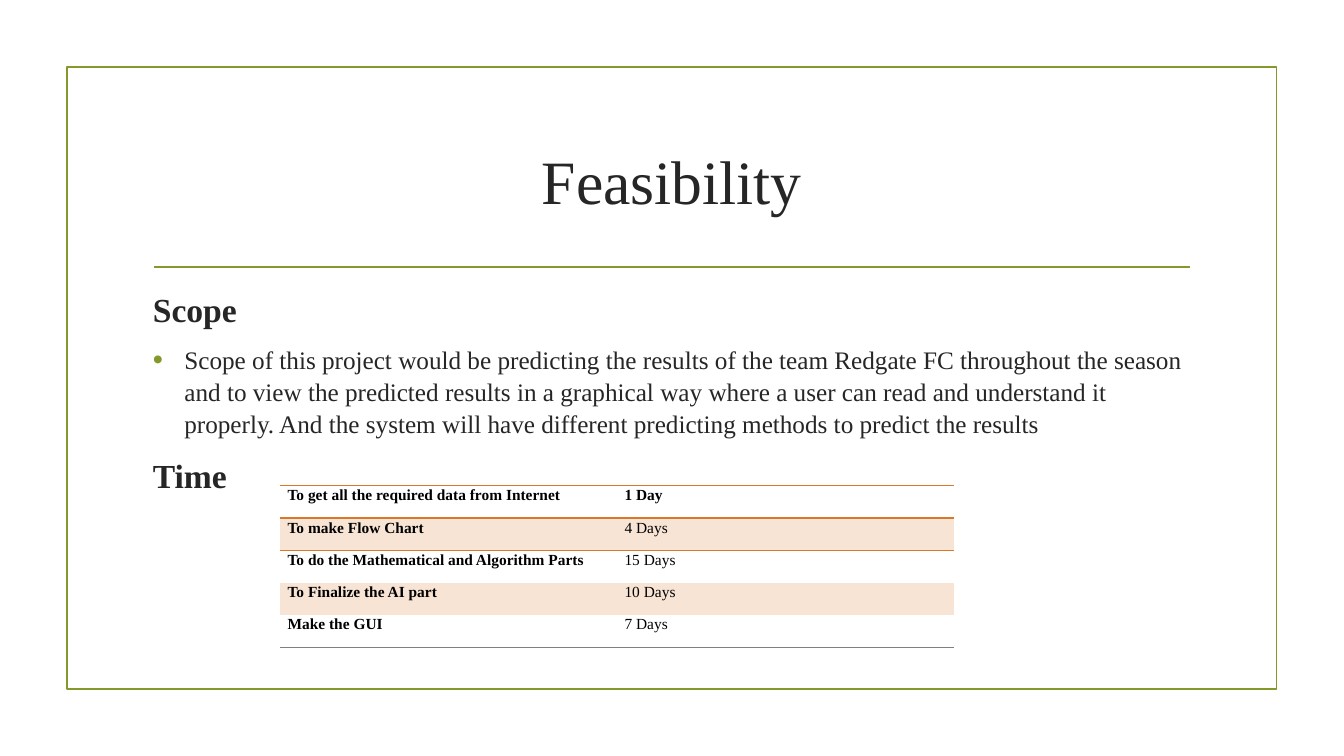
from lxml.etree import SubElement
from pptx import Presentation
from pptx.dml.color import RGBColor
from pptx.enum.shapes import MSO_CONNECTOR as Connector, MSO_SHAPE as Shape
from pptx.enum.text import MSO_ANCHOR as Anchor, MSO_AUTO_SIZE as AutoSize, PP_ALIGN as Align
from pptx.oxml.ns import qn
from pptx.util import Pt

GREEN = RGBColor(0x83, 0x99, 0x2A)
ORANGE = RGBColor(0xD9, 0x78, 0x28)
PEACH = RGBColor(0xF7, 0xE4, 0xD4)
GREY = RGBColor(0x80, 0x80, 0x80)
INK = RGBColor(0x26, 0x26, 0x26)
BLACK = RGBColor(0, 0, 0)
FONT = "Times New Roman"
PLAIN_TABLE = "{2D5ABB26-0587-4C30-8999-92F81FD0307C}"

SCOPE = (
    "Scope of this project would be predicting the results of the team Redgate FC "
    "throughout the season and to view the predicted results in a graphical way where "
    "a user can read and understand it properly. And the system will have different "
    "predicting methods to predict the results"
)
SECTIONS = [("Scope", True), (SCOPE, False), ("Time", True)]
SCHEDULE = [
    ("To get all the required data from Internet", "1 Day"),
    ("To make Flow Chart", "4 Days"),
    ("To do the Mathematical and Algorithm Parts", "15 Days"),
    ("To Finalize the AI part", "10 Days"),
    ("Make the GUI", "7 Days"),
]


def place(part, box):
    """Move a part to a box of left, top, width and height in points."""
    part.left, part.top, part.width, part.height = map(Pt, box)


def style_text(paragraph, size, color, bold=False):
    """Format every run of a paragraph."""
    for run in paragraph.runs:
        run.font.name = FONT
        run.font.size = Pt(size)
        run.font.bold = bold
        run.font.color.rgb = color


def add_frame(slide, box):
    """Draw the green border and the rule beneath the title."""
    left, top, width, height = box
    border = slide.shapes.add_shape(Shape.RECTANGLE, *map(Pt, box))
    border.shadow.inherit = False
    border.fill.background()
    rule_y = Pt(top + 142.6)
    rule = slide.shapes.add_connector(
        Connector.STRAIGHT, Pt(left + 62.5), rule_y, Pt(left + width - 61.5), rule_y
    )
    SubElement(rule._element.spPr, qn("a:effectLst"))
    for outline in (border.line, rule.line):
        outline.color.rgb = GREEN
        outline.width = Pt(1.25)


def add_title(slide, box):
    """Fill the title placeholder."""
    title = slide.shapes.title
    place(title, box)
    frame = title.text_frame
    frame.text = "Feasibility"
    frame.auto_size = AutoSize.NONE
    frame.vertical_anchor = Anchor.MIDDLE
    frame.paragraphs[0].alignment = Align.CENTER
    style_text(frame.paragraphs[0], 44, INK)


def set_bullet(paragraph, shown):
    """Give a paragraph a green hanging bullet, or none."""
    properties = paragraph._p.get_or_add_pPr()
    indent = Pt(22.5) if shown else 0
    properties.set("marL", str(indent))
    properties.set("indent", str(-indent))
    if not shown:
        SubElement(properties, qn("a:buNone"))
        return
    color = SubElement(properties, qn("a:buClr"))
    SubElement(color, qn("a:srgbClr"), val=str(GREEN))
    SubElement(properties, qn("a:buSzPct"), val="115000")
    SubElement(properties, qn("a:buFont"), typeface="Arial")
    SubElement(properties, qn("a:buChar"), char="•")


def add_sections(slide, box):
    """Fill the body placeholder with headings and the scope."""
    body = slide.placeholders[1]
    place(body, box)
    frame = body.text_frame
    frame.text = "\n".join(text for text, _ in SECTIONS)
    frame.auto_size = AutoSize.NONE
    frame.vertical_anchor = Anchor.TOP
    for paragraph, (_, heading) in zip(frame.paragraphs, SECTIONS):
        size = 24 if heading else 18
        paragraph.line_spacing = 1.05
        paragraph.space_before = Pt(size * 0.2)
        paragraph.space_after = Pt(6)
        set_bullet(paragraph, not heading)
        style_text(paragraph, size, INK, heading)


def set_border(cell, side, color):
    """Draw one edge of a cell ahead of its fill."""
    properties = cell._tc.get_or_add_tcPr()
    edge = SubElement(properties, qn(f"a:{side}"), w=str(Pt(1)))
    fill = SubElement(edge, qn("a:solidFill"))
    SubElement(fill, qn("a:srgbClr"), val=str(color))


def add_schedule(slide, box):
    """Build the table of tasks and days."""
    table_part = slide.shapes.add_table(len(SCHEDULE), 2, *map(Pt, box))
    schedule = table_part.table
    schedule.horz_banding = False
    schedule._tbl.tblPr.find(qn("a:tableStyleId")).text = PLAIN_TABLE
    last = len(SCHEDULE) - 1
    for row, entries in enumerate(SCHEDULE):
        for column, entry in enumerate(entries):
            cell = schedule.cell(row, column)
            cell.text = entry
            cell.margin_left = cell.margin_right = Pt(5.4)
            cell.margin_top = cell.margin_bottom = 0
            paragraph = cell.text_frame.paragraphs[0]
            paragraph.line_spacing = 1.07
            style_text(paragraph, 11, BLACK, row == 0 or column == 0)
            if row <= 1:
                set_border(cell, "lnT", ORANGE)
            if row == 0:
                set_border(cell, "lnB", ORANGE)
            if row == last:
                set_border(cell, "lnB", GREY)
            if row % 2:
                cell.fill.solid()
                cell.fill.fore_color.rgb = PEACH
            else:
                cell.fill.background()


def main():
    """Build the feasibility slide and save it."""
    deck = Presentation()
    deck.slide_width, deck.slide_height = Pt(960), Pt(540)
    slide = deck.slides.add_slide(deck.slide_layouts[1])
    add_frame(slide, (47.8, 48, 864, 444))
    add_title(slide, (102, 77, 756, 103))
    add_sections(slide, (102, 201.6, 756, 261.4))
    add_schedule(slide, (200, 347, 481.4, 115.5))
    deck.save("out.pptx")


if __name__ == "__main__":
    main()
